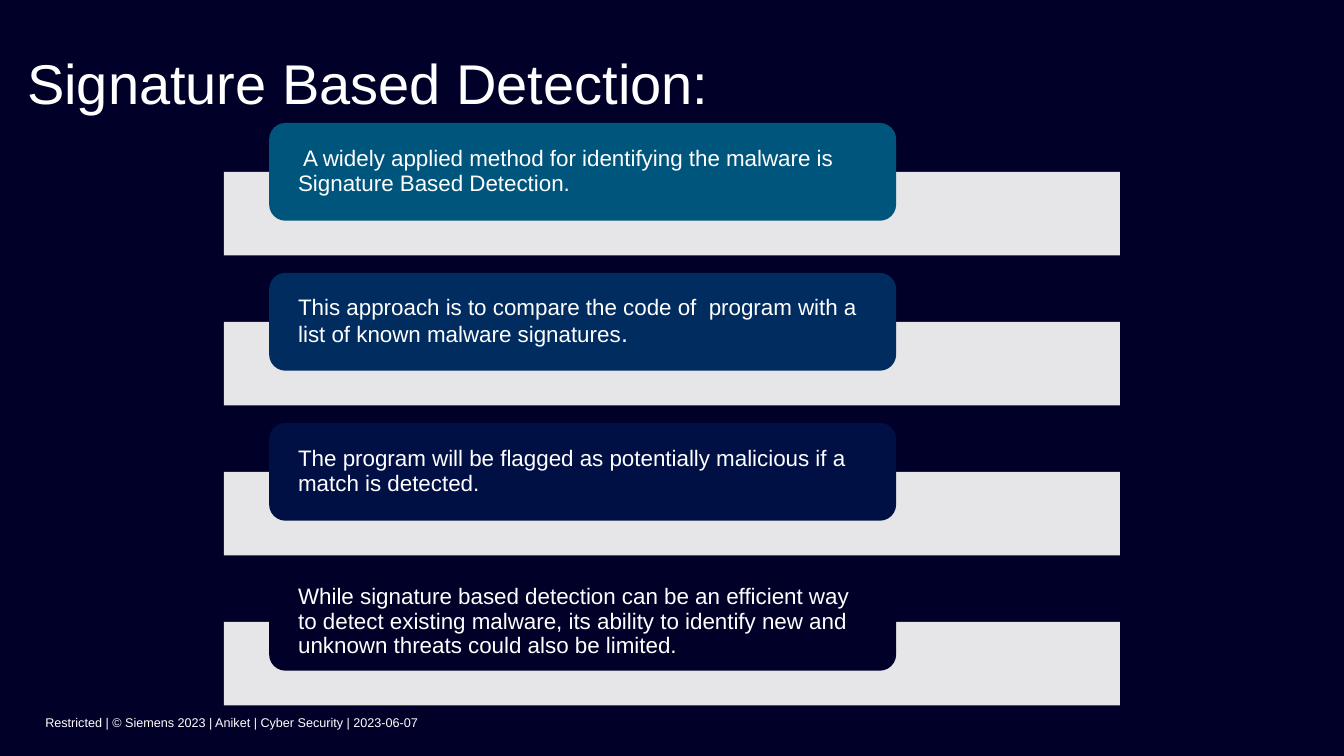
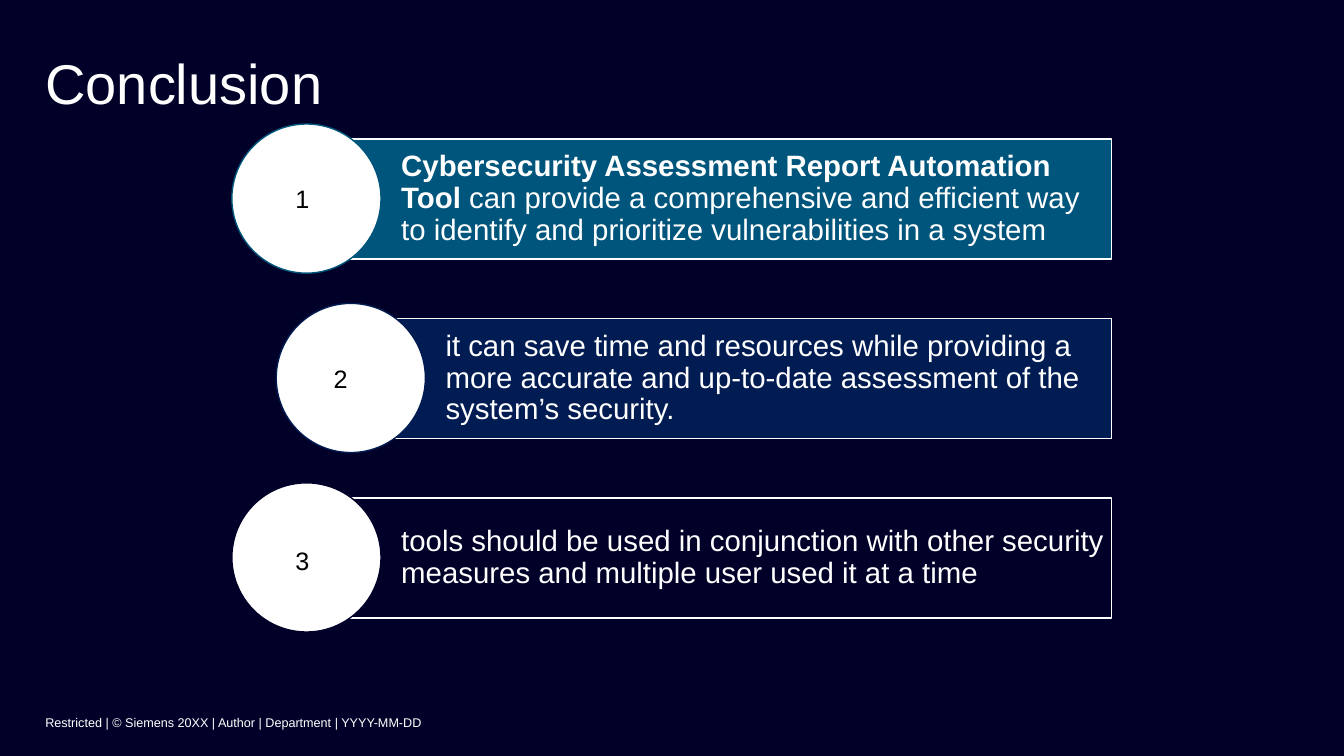
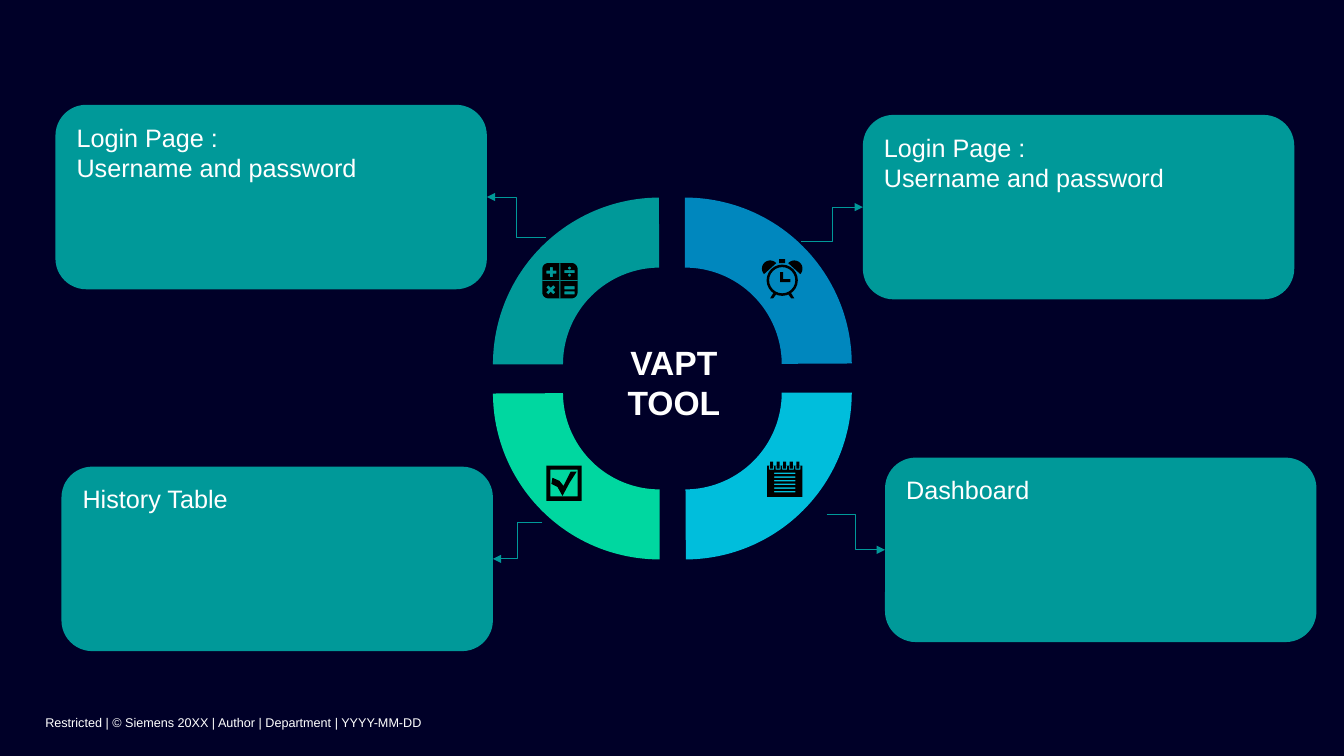
"""Builds three dark slides on malware detection and an assessment tool."""
from math import cos, radians, sin

from lxml.etree import SubElement
from pptx import Presentation
from pptx.dml.color import RGBColor
from pptx.enum.shapes import MSO_CONNECTOR as Connector, MSO_SHAPE as Shape
from pptx.enum.text import MSO_ANCHOR as Anchor, MSO_AUTO_SIZE as AutoSize, PP_ALIGN as Align
from pptx.oxml.ns import qn
from pptx.util import Inches, Pt

COLOURS = {
    "night": "000028", "white": "FFFFFF", "black": "000000", "petrol": "00557C",
    "navy": "002C60", "deep": "001044", "marine": "001C52", "teal": "009999",
    "blue": "0087BE", "cyan": "00BEDC", "green": "00D7A0",
}
CELL = 0.1
ICON_UNIT = 0.1
TITLE_ONLY, BLANK = 5, 6
MARGINS = ("margin_left", "margin_top", "margin_right", "margin_bottom")


def cells(count):
    """Return the length of a number of grid cells."""
    return Inches(count * CELL)


def arc(x, y, radius, start=0, end=360):
    """Return points along an arc, clockwise from start to end in degrees."""
    steps = 24
    angles = [radians(start + (end - start) * step / steps) for step in range(steps + 1)]
    return [(x + radius * cos(angle), y + radius * sin(angle)) for angle in angles]


def box(left, top, width, height):
    """Return the corners of a rectangle."""
    right, bottom = left + width, top + height
    return [(left, top), (right, top), (right, bottom), (left, bottom)]


def rounded(size, radius):
    """Return the outline of a square with round corners."""
    far = size - radius
    corners = [(radius, radius), (far, radius), (far, far), (radius, far)]
    return [point for index, (x, y) in enumerate(corners)
            for point in arc(x, y, radius, 180 + 90 * index, 270 + 90 * index)]


def cross(x, y, arm, half, turn=0):
    """Return the outline of a plus sign, turned by some degrees."""
    points = []
    for quarter in range(4):
        angle = radians(turn + 90 * quarter)
        points += [(x + a * cos(angle) - b * sin(angle), y + a * sin(angle) + b * cos(angle))
                   for a, b in [(arm, -half), (arm, half), (half, half)]]
    return points


class Deck:
    """Holds the shared style and the current slide."""

    def __init__(self):
        """Start a wide presentation with a dark background."""
        self.presentation = Presentation()
        self.presentation.slide_width = Inches(13.333)
        self.presentation.slide_height = Inches(7.5)
        self.paint(self.presentation.slide_master.background.fill, "night")
        self.slide = None

    def paint(self, fill, colour):
        """Give a fill one of the named colours."""
        fill.solid()
        fill.fore_color.rgb = RGBColor.from_string(COLOURS[colour])

    def new_slide(self, footer, title=None, title_left=4.5):
        """Add a slide with its footer and perhaps a title."""
        layout = self.presentation.slide_layouts[TITLE_ONLY if title else BLANK]
        self.slide = self.presentation.slides.add_slide(layout)
        if title:
            holder = self.slide.shapes.title
            place = {"left": title_left, "top": 4.8, "width": 101.6, "height": 6.7}
            for name, value in place.items():
                setattr(holder, name, cells(value))
            self.set_text(holder, [title], size=40, anchor=Anchor.BOTTOM)
        self.label((4.5, 69, 101.6, 6), footer, size=9, insets=(0, 0, 0, 0.7),
                   anchor=Anchor.MIDDLE)

    def set_text(self, shape, paragraphs, size=18, colour="white", bold=False,
                 insets=(0, 0, 0, 0), anchor=Anchor.TOP, align=Align.LEFT, spacing=1.0):
        """Fill a shape with paragraphs, each a string or a list of (text, font values)."""
        frame = shape.text_frame
        settings = {"word_wrap": True, "auto_size": AutoSize.NONE, "vertical_anchor": anchor}
        settings.update(zip(MARGINS, map(cells, insets)))
        for name, value in settings.items():
            setattr(frame, name, value)
        for index, runs in enumerate(paragraphs):
            paragraph = frame.add_paragraph() if index else frame.paragraphs[0]
            paragraph.alignment = align
            paragraph.line_spacing = spacing
            for text, changes in [(runs, {})] if isinstance(runs, str) else runs:
                run = paragraph.add_run()
                run.text = text
                values = {"name": "Arial", "size": Pt(size), "bold": bold, **changes}
                for name, value in values.items():
                    setattr(run.font, name, value)
                run.font.color.rgb = RGBColor.from_string(COLOURS[colour])

    def label(self, place, text, **style):
        """Add a text box."""
        self.set_text(self.slide.shapes.add_textbox(*map(cells, place)), [text], **style)

    def finish(self, shape, fill, line=None, opacity=None):
        """Set the fill, line and shadow of a shape."""
        shape.shadow.inherit = False
        self.paint(shape.fill, fill)
        if opacity:
            colour = shape.fill._xPr.find(qn("a:solidFill"))[0]
            SubElement(colour, qn("a:alpha"), val=str(opacity * 1000))
        if line:
            self.paint(shape.line.fill, line)
            shape.line.width = Pt(1)
        else:
            shape.line.fill.background()

    def shape(self, kind, place, fill, line=None, opacity=None):
        """Add a preset shape."""
        shape = self.slide.shapes.add_shape(kind, *map(cells, place))
        self.finish(shape, fill, line, opacity)
        return shape

    def ring_quarter(self, place, quarter, fill):
        """Add a quarter of a ring, turned by quarters from the upper left."""
        shape = self.shape(Shape.BLOCK_ARC, place, fill)
        for index, value in enumerate((108, 161.82, 0.21)):
            shape.adjustments[index] = value
        shape.rotation = 90 * quarter

    def icon(self, left, top, outlines):
        """Add a black icon from outlines where inner ones cut holes."""
        placed = [[(cells(left + x * ICON_UNIT), cells(top + y * ICON_UNIT))
                   for x, y in outline] for outline in outlines]
        builder = self.slide.shapes.build_freeform(*placed[0][0])
        for index, points in enumerate(placed):
            if index:
                builder.move_to(*points[0])
            builder.add_line_segments(points[1:], close=True)
        self.finish(builder.convert_to_shape(), "black")

    def arrow(self, start, end):
        """Add an elbow arrow."""
        connector = self.slide.shapes.add_connector(
            Connector.ELBOW, *map(cells, start + end))
        self.paint(connector.line.fill, "teal")
        connector.line.width = Pt(0.75)
        SubElement(connector.line._get_or_add_ln(), qn("a:tailEnd"), type="triangle")
        SubElement(connector._element.spPr, qn("a:effectLst"))


def clock():
    """Return the outlines of an alarm clock."""
    left_foot = [(11, 34), (8, 39), (11, 39), (14, 35)]
    return [
        arc(20, 21, 15.5), arc(20, 21, 13),
        [(18, 13), (21, 13), (21, 20), (28, 20), (28, 23), (18, 23)],
        left_foot, [(40 - x, y) for x, y in left_foot],
        arc(8, 9.5, 8.1, 138, 318), arc(32, 9.5, 8.1, 222, 402), box(17, 0, 6, 4),
    ]


def notepad():
    """Return the outlines of a spiral notepad."""
    rings = [4.5 + 6.5 * index for index in range(5)]
    return ([box(0, 4, 35, 31)]
            + [box(x - 2.5, 4, 5, 4) for x in rings]
            + [box(x - 1.5, 0, 3, 7) for x in rings]
            + [box(7, 11 + 3.6 * row, 21, 1.5) for row in range(6)])


def calculator():
    """Return the outlines of a calculator."""
    gaps = [box(17, 0, 1, 35), box(0, 17, 17, 1), box(18, 17, 17, 1)]
    bars = [box(22, top, 10, 3) for top in (7, 23, 28)]
    dots = [arc(27, y, 1.5) for y in (5, 12)]
    return [rounded(35, 6), *gaps, *bars, *dots,
            cross(9, 9, 5, 1.5), cross(8.5, 26.5, 5, 1.5, 45)]


def checkbox():
    """Return the outlines of a ticked box."""
    tick = [(16, 30), (11, 21), (5, 18), (6, 12), (13, 15), (17, 20), (24, 6), (30, 6), (23, 17)]
    return [box(0, 0, 35, 35), box(4, 4, 27, 26.5), tick]


def signature_slide(deck):
    """Build the slide of four cards on pale bands."""
    deck.new_slide("Restricted | © Siemens 2023 | Aniket | Cyber Security | 2023-06-07",
                   "Signature Based Detection:", title_left=2.7)
    cards = [
        ("petrol", " A widely applied method for identifying the malware is Signature Based Detection."),
        ("navy", [("This approach is to compare the code of  program with a list of known "
                   "malware signatures", {}), (".", {"size": Pt(18)})]),
        ("deep", "The program will be flagged as potentially malicious if a match is detected."),
        ("night", "While signature based detection can be an efficient way to detect existing "
                  "malware, its ability to identify new and unknown threats could also be limited."),
    ]
    for row, (colour, text) in enumerate(cards):
        top = 12.2 + 14.88 * row
        deck.shape(Shape.RECTANGLE, (22.2, top + 4.85, 88.9, 8.3), "white", opacity=90)
        card = deck.shape(Shape.ROUNDED_RECTANGLE, (26.7, top, 62.2, 9.7), colour)
        deck.set_text(card, [text], size=16, insets=(2.4, 0, 2.4, 0),
                      anchor=Anchor.MIDDLE, spacing=0.9)


def conclusion_slide(deck, footer):
    """Build the slide of three numbered bars."""
    deck.new_slide(footer, "Conclusion")
    bars = [
        ("petrol", 30.4, (29.3, 18.2),
         [("Cybersecurity Assessment Report Automation Tool ", {"bold": True}),
          ("can provide a comprehensive and efficient way to identify and prioritize "
           "vulnerabilities in a system", {})]),
        ("marine", 34.8, (33.1, 36),
         "it can save time and resources while providing a more accurate and up-to-date "
         "assessment of the system’s security."),
        ("night", 30.4, (29.3, 54.1),
         "tools should be used in conjunction with other security measures and multiple "
         "user used it at a time"),
    ]
    for row, (colour, left, number_place, text) in enumerate(bars):
        top = 13.8 + 17.8 * row
        bar = deck.shape(Shape.RECTANGLE, (left, top, 110.25 - left, 11.9), colour, "white")
        deck.set_text(bar, [text], size=21, insets=(9.4, 0.6, 0.5, 0.6),
                      anchor=Anchor.MIDDLE, spacing=0.9)
        deck.shape(Shape.OVAL, (left - 7.4, top - 1.5, 14.8, 14.8), "white", colour)
        deck.label((*number_place, 7.7, 3), str(row + 1), colour="black")


def tool_slide(deck, footer):
    """Build the slide of a four-part ring with cards around it."""
    deck.new_slide(footer)
    near, far, upper, lower, size = 48.9, 51.4, 19.6, 22.4, 33.1
    quarters = [(near, upper, "teal"), (far, upper, "blue"),
                (far, lower, "cyan"), (near, lower, "green")]
    for quarter, (left, top, colour) in enumerate(quarters):
        deck.ring_quarter((left, top, size, size), quarter, colour)
    deck.label((56.6, 33.4, 20.5, 9.1), "VAPT TOOL", size=24, bold=True,
               insets=(2, 0.5, 2, 0.5), align=Align.CENTER)
    icons = [(75.6, 25.7, clock), (76.1, 45.8, notepad),
             (53.8, 26.1, calculator), (54.2, 46.2, checkbox)]
    for left, top, outlines in icons:
        deck.icon(left, top, outlines())
    login = ["Login Page :", "Username and password"]
    width, height = 42.8, 18.3
    cards = [
        (85.6, 11.4, login, (79.5, 24)),
        (87.8, 45.4, ["Dashboard"], (82, 51)),
        (5.5, 10.4, login, (54.2, 23.6)),
        (6.1, 46.3, ["History Table"], (53.8, 51.8)),
    ]
    for left, top, text, start in cards:
        card = deck.shape(Shape.ROUNDED_RECTANGLE, (left, top, width, height), "teal")
        deck.set_text(card, text, insets=(1.2, 0.8, 1.2, 0.8))
        edge = left if left > start[0] else left + width
        deck.arrow(start, (edge, top + height / 2))


def main():
    """Build and save the presentation."""
    deck = Deck()
    footer = "Restricted | © Siemens 20XX | Author | Department | YYYY-MM-DD"
    signature_slide(deck)
    conclusion_slide(deck, footer)
    tool_slide(deck, footer)
    deck.presentation.save("out.pptx")


if __name__ == "__main__":
    main()
